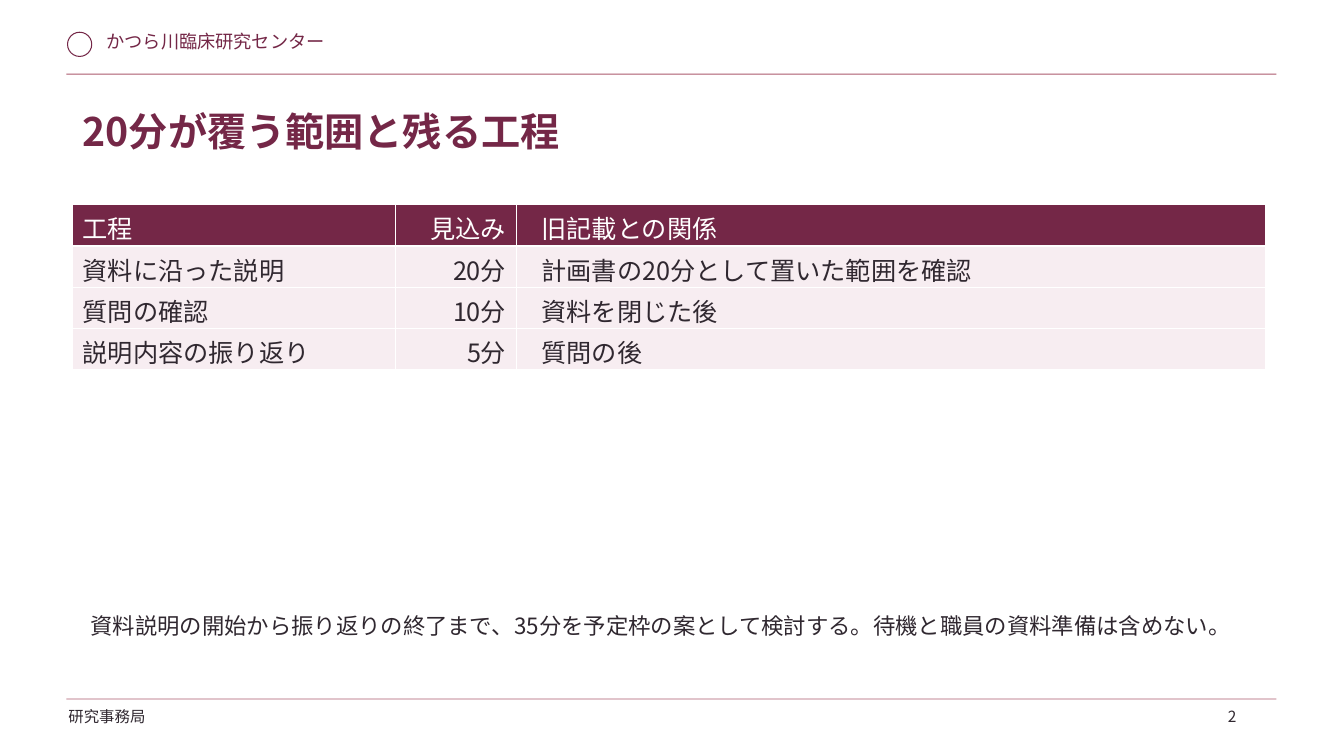
from pptx import Presentation
from pptx.dml.color import RGBColor as Rgb
from pptx.enum.shapes import MSO_SHAPE as Kind
from pptx.enum.text import MSO_ANCHOR as Anchor, PP_ALIGN as Align
from pptx.oxml.ns import qn
from pptx.util import Emu, Pt
from lxml.etree import SubElement as Sub

HUES = {"plum": "742747", "rose": "AB586C", "ink": "302830",
        "blush": "F7EDF1", "white": "FFFFFF"}
FONT = "Noto Sans CJK JP"
SCALE = 9144


def px(n):
    return Emu(n * SCALE)


def hue(name):
    return Rgb.from_string(HUES[name])


class Page:
    def __init__(self, deck):
        self.slide = deck.slides.add_slide(deck.slide_layouts[5])
        self.shapes = self.slide.shapes

    def fill_in(self, frame, text, size, color, bold=False, align=Align.LEFT, lead=0.9):
        para = frame.paragraphs[0]
        para.alignment = align
        para.line_spacing = lead
        run = para.add_run()
        run.text = text
        font = run.font
        font.name, font.size, font.bold = FONT, Pt(size), bold
        font.color.rgb = hue(color)
        Sub(run._r.get_or_add_rPr(), qn("a:ea")).set("typeface", FONT)

    def title(self, text, box):
        head = self.shapes.title
        head.left, head.top, head.width, head.height = map(px, box)
        frame = head.text_frame
        frame.margin_left = frame.margin_right = px(10)
        frame.margin_top = frame.margin_bottom = px(10)
        frame.vertical_anchor = Anchor.TOP
        frame.word_wrap = True
        self.fill_in(frame, text, 28, "plum", bold=True)

    def text(self, text, box, size, color="ink"):
        frame = self.shapes.add_textbox(*map(px, box)).text_frame
        frame.word_wrap = True
        self.fill_in(frame, text, size, color)

    def rule(self, top):
        bar = self.shapes.add_shape(Kind.RECTANGLE, *map(px, (66, top, 1200, 1)))
        bar.shadow.inherit = False
        bar.fill.solid()
        bar.fill.fore_color.rgb = hue("rose")
        bar.line.fill.background()

    def ring(self, box):
        mark = self.shapes.add_shape(Kind.OVAL, *map(px, box))
        mark.shadow.inherit = False
        mark.fill.background()
        mark.line.color.rgb = hue("plum")
        mark.line.width = Pt(0.75)

    def table(self, rows, left, top, wides, tall):
        box = (left, top, sum(wides), tall * len(rows))
        grid = self.shapes.add_table(len(rows), len(wides), *map(px, box)).table
        grid.horz_banding = False
        for col, wide in zip(grid.columns, wides):
            col.width = px(wide)
        for r, row in enumerate(rows):
            grid.rows[r].height = px(tall)
            fill, ink = ("blush", "ink") if r else ("plum", "white")
            for c, text in enumerate(row):
                cell = grid.cell(r, c)
                cell.fill.solid()
                cell.fill.fore_color.rgb = hue(fill)
                cell.vertical_anchor = Anchor.MIDDLE
                if c == 2:
                    cell.margin_left = px(25)
                align = Align.RIGHT if c == 1 else Align.LEFT
                self.fill_in(cell.text_frame, text, 18, ink, align=align, lead=1.0)


def main():
    deck = Presentation()
    deck.slide_width, deck.slide_height = px(1333), px(750)
    page = Page(deck)
    page.ring((67, 32, 24, 24))
    page.text("かつら川臨床研究センター", (96, 28, 330, 35), 13, "plum")
    for top in (73, 693):
        page.rule(top)
    page.text("研究事務局", (58, 699, 180, 36), 11)
    page.title("20分が覆う範囲と残る工程", (72, 102, 1190, 81))
    rows = [
        ("工程", "見込み", "旧記載との関係"),
        ("資料に沿った説明", "20分", "計画書の20分として置いた範囲を確認"),
        ("質問の確認", "10分", "資料を閉じた後"),
        ("説明内容の振り返り", "5分", "質問の後"),
    ]
    page.table(rows, 72, 203, (320, 120, 743), 41)
    page.text("2", (1208, 699, 50, 25), 11)
    page.text("資料説明の開始から振り返りの終了まで、35分を予定枠の案として検討する。"
              "待機と職員の資料準備は含めない。", (80, 605, 1170, 65), 16)
    deck.save("out.pptx")


if __name__ == "__main__":
    main()
